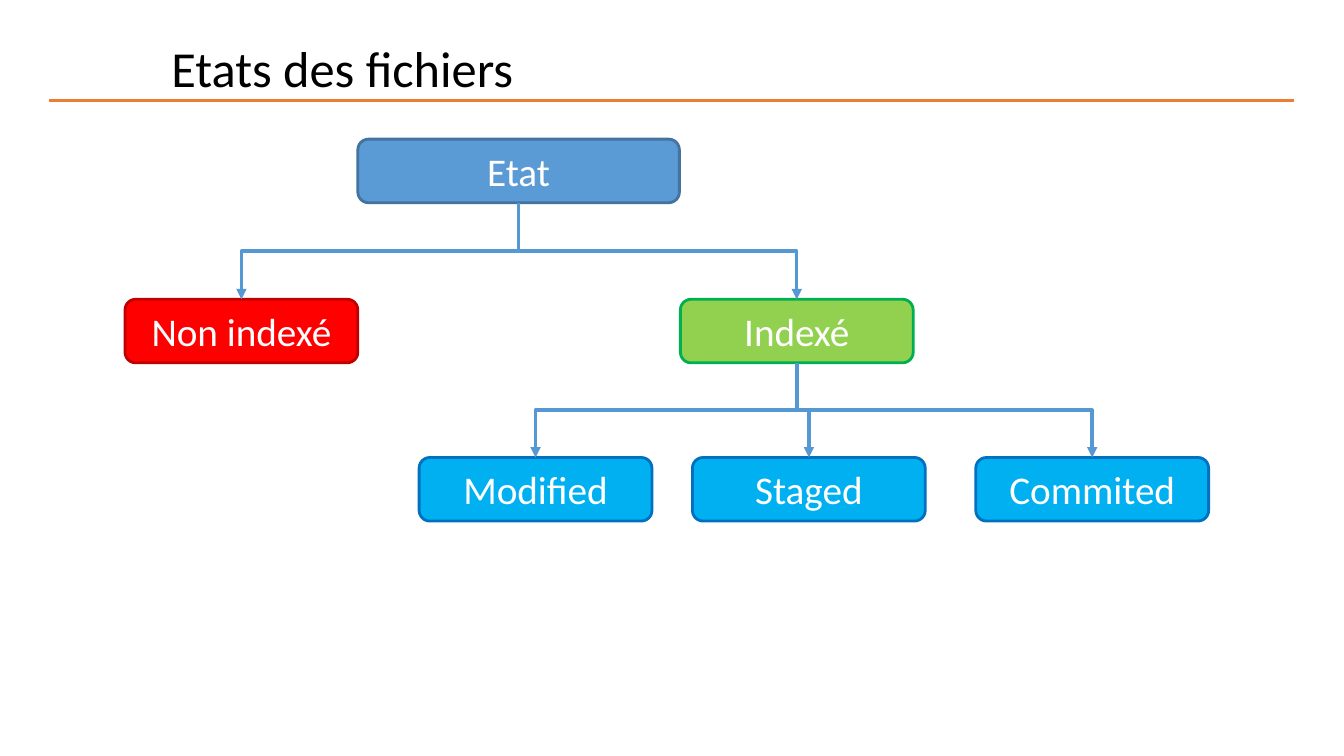
from dataclasses import dataclass

from lxml import etree
from pptx import Presentation
from pptx.dml.color import RGBColor
from pptx.enum import shapes, text
from pptx.oxml import ns
from pptx.util import Pt

COLORS = {
    "black": "000000", "white": "FFFFFF", "rule": "ED7D31", "arrow": "5698D3",
    "blue": "5B9BD5", "blue_edge": "43739E", "red": "FF0000", "red_edge": "C00000",
    "green": "92D050", "green_edge": "00B050", "sky": "00B0F0", "sky_edge": "0070C0",
}
BOX_HEIGHT = 45.4
CHILD_WIDTH = 166.3
ROOT_TOP, INDEX_TOP, STAGE_TOP = 99.4, 213.8, 326.8
TOP_SITE, BOTTOM_SITE = 0, 2


@dataclass(frozen=True)
class State:
    label: str
    left: float
    top: float
    color: str
    width: float = CHILD_WIDTH

    @property
    def center(self) -> float:
        return self.left + self.width / 2


ETAT = State("Etat", 255.6, ROOT_TOP, "blue", 229.7)
NON_INDEXE = State("Non indexé", 89.3, INDEX_TOP, "red")
INDEXE = State("Indexé", 486, INDEX_TOP, "green")
STAGES = [State(label, left, STAGE_TOP, "sky") for label, left in
          (("Modified", 299.4), ("Staged", 494.6), ("Commited", 697))]
STATES = [ETAT, NON_INDEXE, INDEXE, *STAGES]
LINKS = [(ETAT, NON_INDEXE), (ETAT, INDEXE), *((INDEXE, stage) for stage in STAGES)]


def rgb(name: str) -> RGBColor:
    return RGBColor.from_string(COLORS[name])


def assign(target, values: dict) -> None:
    for name, value in values.items():
        setattr(target, name, value)


def write(tf, label: str, size: float, color: str, para: dict) -> None:
    p = tf.paragraphs[0]
    assign(p, para)
    r = p.add_run()
    r.text = label
    assign(r.font, {"name": "Calibri", "size": Pt(size)})
    r.font.color.rgb = rgb(color)


def style_line(sp, color: str, width: float) -> None:
    sp.line.color.rgb = rgb(color)
    sp.line.width = Pt(width)


def add_title(slide) -> None:
    sp = slide.shapes.title
    assign(sp, {"left": Pt(115.2), "top": Pt(16.6), "width": Pt(810), "height": Pt(59)})
    tf = sp.text_frame
    assign(tf, {"word_wrap": True, "auto_size": text.MSO_AUTO_SIZE.NONE,
                "vertical_anchor": text.MSO_ANCHOR.TOP})
    write(tf, "Etats des fichiers", 36, "black",
          {"alignment": text.PP_ALIGN.LEFT, "line_spacing": 1.15})


def add_rule(slide) -> None:
    sp = slide.shapes.add_connector(
        shapes.MSO_CONNECTOR.STRAIGHT, Pt(35.3), Pt(72), Pt(924.5), Pt(72))
    style_line(sp, "rule", 2.25)
    etree.SubElement(sp._element.spPr, ns.qn("a:effectLst"))


def add_state(slide, state: State):
    sp = slide.shapes.add_shape(
        shapes.MSO_SHAPE.ROUNDED_RECTANGLE,
        Pt(state.left), Pt(state.top), Pt(state.width), Pt(BOX_HEIGHT))
    sp.shadow.inherit = False
    sp.fill.solid()
    sp.fill.fore_color.rgb = rgb(state.color)
    style_line(sp, f"{state.color}_edge", 2)
    tf = sp.text_frame
    assign(tf, {"word_wrap": True, "vertical_anchor": text.MSO_ANCHOR.MIDDLE})
    write(tf, state.label, 28, "white", {"alignment": text.PP_ALIGN.CENTER})
    return sp


def add_link(slide, parent: State, child: State, boxes: dict) -> None:
    sp = slide.shapes.add_connector(shapes.MSO_CONNECTOR.ELBOW, 0, 0, 0, 0)
    sp.begin_connect(boxes[parent], BOTTOM_SITE)
    sp.end_connect(boxes[child], TOP_SITE)
    start = parent.top + BOX_HEIGHT
    drop = child.top - start
    run = abs(child.center - parent.center)
    assign(sp, {"left": Pt((parent.center + child.center - drop) / 2),
                "top": Pt((start + child.top - run) / 2),
                "width": Pt(drop), "height": Pt(run)})
    rightward = child.center > parent.center
    xfrm = sp._element.spPr.find(ns.qn("a:xfrm"))
    xfrm.set("rot", str((270 if rightward else 90) * 60000))
    xfrm.set("flipH", str(int(rightward)))
    xfrm.set("flipV", "0")
    style_line(sp, "arrow", 2.5)
    etree.SubElement(sp.line._get_or_add_ln(), ns.qn("a:tailEnd"), type="triangle")
    etree.SubElement(sp._element.spPr, ns.qn("a:effectLst"))


def main() -> None:
    prs = Presentation()
    assign(prs, {"slide_width": Pt(960), "slide_height": Pt(540)})
    slide = prs.slides.add_slide(prs.slide_layouts.get_by_name("Title Only"))
    add_title(slide)
    add_rule(slide)
    boxes = {state: add_state(slide, state) for state in STATES}
    for parent, child in LINKS:
        add_link(slide, parent, child, boxes)
    prs.save("out.pptx")


if __name__ == "__main__":
    main()
